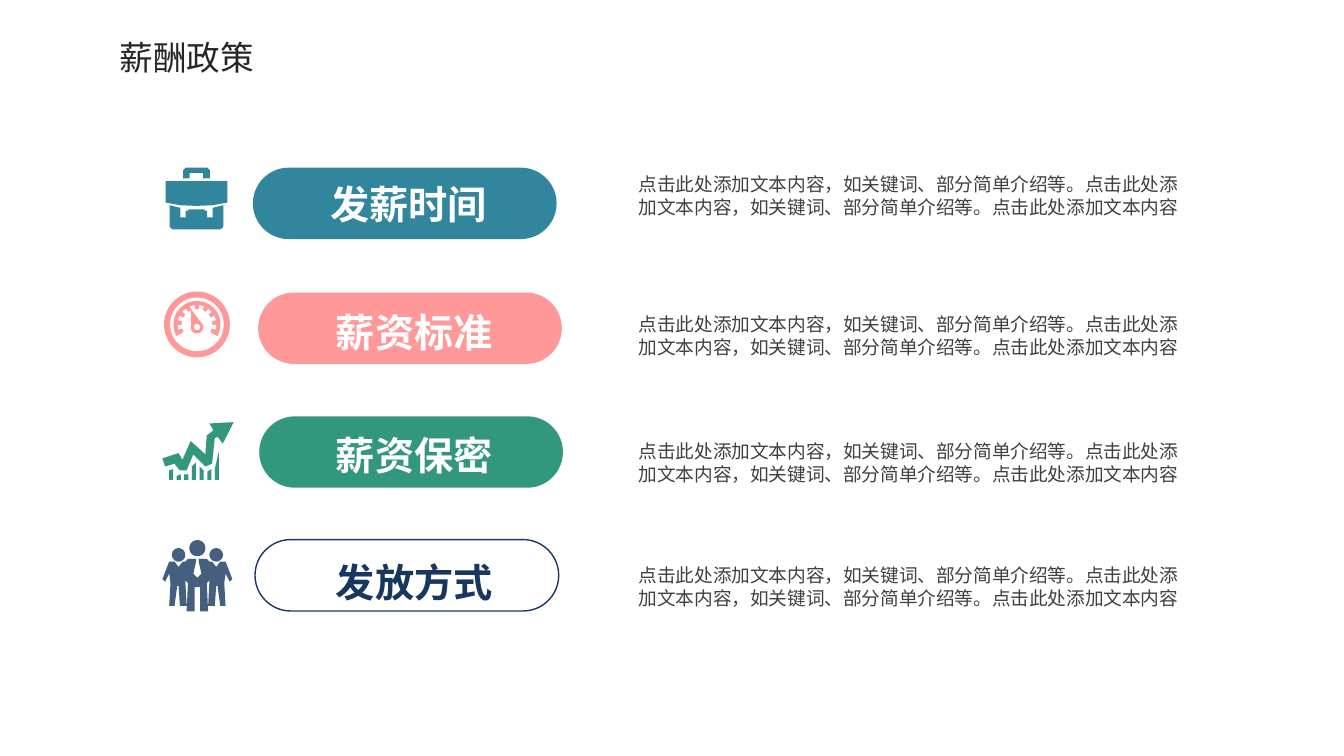
from math import cos, radians, sin

from pptx import Presentation
from pptx.dml.color import RGBColor
from pptx.enum.shapes import MSO_SHAPE
from pptx.enum.text import MSO_AUTO_SIZE, PP_ALIGN
from pptx.oxml.ns import qn
from pptx.oxml.xmlchemy import OxmlElement
from pptx.util import Cm, Pt

ROUNDED = MSO_SHAPE.ROUNDED_RECTANGLE
GROW = MSO_AUTO_SIZE.SHAPE_TO_FIT_TEXT
LEFT, CENTER = PP_ALIGN.LEFT, PP_ALIGN.CENTER

TEAL, PINK, GREEN, NAVY = "31859C", "FF9999", "007E5D", "17375E"
WHITE, INK, GRAY = "FFFFFF", "262626", "404040"
UNITS_PER_INCH = 100
PRECISION = 10
DESCRIPTION = "点击此处添加文本内容，如关键词、部分简单介绍等。" * 2 + "点击此处添加文本内容"


def color(value):
    return RGBColor.from_string(value)


def polar(center, radius, angle):
    x, y = center
    return x + radius * cos(radians(angle)), y + radius * sin(radians(angle))


def arc(center, radius, start=0, end=360, steps=48):
    turn = (end - start) / steps
    return [polar(center, radius, start + turn * i) for i in range(steps + 1)]


def mirrored(left_half, axis):
    return left_half + [(2 * axis - x, y) for x, y in reversed(left_half)]


def briefcase():
    axis = 23
    handle = [(18, 4), (18, 8), (13, 8), (13, 2), (15, 0)]
    flap = [(axis, 28.5), (11, 28), (0, 26), (0, 10)]
    clasp = [(17, 31), (17, 32), (15, 32), (15, 37), (11, 37), (11, 30)]
    case_side = [(3, 28), (3, 44), (5, 46)]
    return [mirrored(half, axis) for half in (handle, flap, clasp + case_side)]


def gauge():
    center, pivot = (24.5, 24.5), (24.5, 26.5)
    dial_start, dial_end = 150, 390
    rim, gap_edge, tooth_edge = 17.5, 14.5, 11.5
    segments = 17
    step = (dial_end - dial_start) / segments
    dial = arc(center, rim, dial_start, dial_end)
    for i in range(segments):
        radius = gap_edge if i % 2 else tooth_edge
        dial += [polar(center, radius, dial_end - step * side) for side in (i, i + 1)]
    needle_tip = (20, 13)
    needle = arc(pivot, 4.7, -50, 200) + [needle_tip]
    return [arc(center, 24.5), arc(center, 20), dial, needle, arc(pivot, 2.3)]


def trend():
    upper_edge = [(0, 27), (12, 23), (15, 28), (21, 14), (32, 24), (33, 10), (38, 6)]
    arrowhead = [(35, 1), (53, 0), (45, 16), (41, 11)]
    lower_edge = [(39, 12), (37, 31), (32, 33), (23, 24), (18, 36), (13, 36), (9, 31),
                  (2, 33)]
    first, pitch, width, base = 5, 5.67, 3, 43
    bar_tops = [(36, 35), (40, 39), (39, 39), (33, 30), (33, 36), (37, 35), (35, 22)]
    bars = []
    for i, (left_top, right_top) in enumerate(bar_tops):
        left = first + pitch * i
        right = left + width
        bars.append([(left, base), (left, left_top), (right, right_top), (right, base)])
    return [upper_edge + arrowhead + lower_edge] + bars


def people():
    axis = 26
    heads = [arc((axis, 6), 6)] + [arc((axis + side * 14, 11), 5) for side in (-1, 1)]
    tie = [(axis, 28), (23, 25), (25, 16), (25, 14)]
    shoulders = [(19, 14), (17, 16), (15, 16), (12, 20), (9, 16), (5, 16)]
    arm = [(0, 29), (2, 31), (5, 25), (6, 32)]
    outer_legs = [(5, 49), (9, 49), (11, 34), (12, 34), (13, 49), (18, 49), (17, 30)]
    center_leg = [(19, 32), (18, 53), (24, 53), (24, 35)]
    return heads + [mirrored(tie + shoulders + arm + outer_legs + center_leg, axis)]


class SlideBuilder:
    font_name = "Noto Sans CJK SC"

    def __init__(self, slide):
        self.slide = slide

    def paint(self, shape, fill, opacity=100, line=None):
        shape.shadow.inherit = False
        if fill:
            shape.fill.solid()
            shape.fill.fore_color.rgb = color(fill)
            if opacity < 100:
                alpha = OxmlElement("a:alpha")
                alpha.set("val", str(opacity * 1000))
                shape._element.spPr.find(qn("a:solidFill"))[0].append(alpha)
        else:
            shape.fill.background()
        if line:
            shape.line.color.rgb = color(line)
            shape.line.width = Pt(0.75)
        else:
            shape.line.fill.background()

    def pill(self, left, top, fill, opacity=100, line=None):
        shape = self.slide.shapes.add_shape(
            ROUNDED, Cm(left), Cm(top), Cm(5.74), Cm(1.35))
        shape.adjustments[0] = 0.5
        self.paint(shape, fill, opacity, line)

    def icon(self, left, top, contours, fill, opacity=100):
        outlines = [[(x * PRECISION, y * PRECISION) for x, y in contour]
                    for contour in contours]
        builder = self.slide.shapes.build_freeform(
            *outlines[0][0], scale=Cm(2.54) / (UNITS_PER_INCH * PRECISION))
        for index, outline in enumerate(outlines):
            if index:
                builder.move_to(*outline[0])
            builder.add_line_segments(outline[1:], close=True)
        self.paint(builder.convert_to_shape(Cm(left), Cm(top)), fill, opacity)

    def text(self, box, content, size, fill, bold=False, align=LEFT, wrap=False,
             insets=(0.18, 0.1)):
        shape = self.slide.shapes.add_textbox(*(Cm(length) for length in box))
        frame = shape.text_frame
        frame.word_wrap = wrap
        frame.auto_size = GROW
        frame.margin_left = frame.margin_right = Cm(insets[0])
        frame.margin_top = frame.margin_bottom = Cm(insets[1])
        paragraph = frame.paragraphs[0]
        paragraph.text = content
        paragraph.alignment = align
        font = paragraph.font
        font.name = self.font_name
        font.size = Pt(size)
        font.bold = bold
        font.color.rgb = color(fill)
        east_asian = OxmlElement("a:ea")
        east_asian.set("typeface", self.font_name)
        paragraph._p.pPr.find(qn("a:defRPr")).append(east_asian)


def main():
    presentation = Presentation()
    presentation.slide_width = Cm(25.4)
    presentation.slide_height = Cm(14.29)
    slide = presentation.slides.add_slide(presentation.slide_layouts[6])
    builder = SlideBuilder(slide)
    builder.text((2.01, 0.56, 3.07, 1.02), "薪酬政策", 18, INK, insets=(0.25, 0.13))

    policies = [
        ("发薪时间", briefcase, TEAL, 100, (3.13, 3.17), (4.78, 3.17), (6.02, 3.3), 3.17),
        ("薪资标准", gauge, PINK, 100, (3.1, 5.51), (4.88, 5.53), (6.13, 5.72), 5.82),
        ("薪资保密", trend, GREEN, 80, (3.07, 7.98), (4.9, 7.87), (6.13, 8.05), 8.22),
        ("发放方式", people, NAVY, 80, (3.07, 10.21), (4.82, 10.2), (6.13, 10.46), 10.56),
    ]
    for name, draw, tone, opacity, icon_at, pill_at, name_at, text_top in policies:
        outlined = tone == NAVY
        pill_fill, pill_line, name_color = (
            (None, tone, tone) if outlined else (tone, None, WHITE))
        builder.pill(*pill_at, pill_fill, opacity, pill_line)
        builder.icon(*icon_at, draw(), tone, opacity)
        builder.text((*name_at, 3.4, 1.09), name, 21, name_color, bold=True, align=CENTER)
        builder.text((11.89, text_top, 10.8, 1.47), DESCRIPTION, 10, GRAY, wrap=True)

    presentation.save("out.pptx")


if __name__ == "__main__":
    main()
